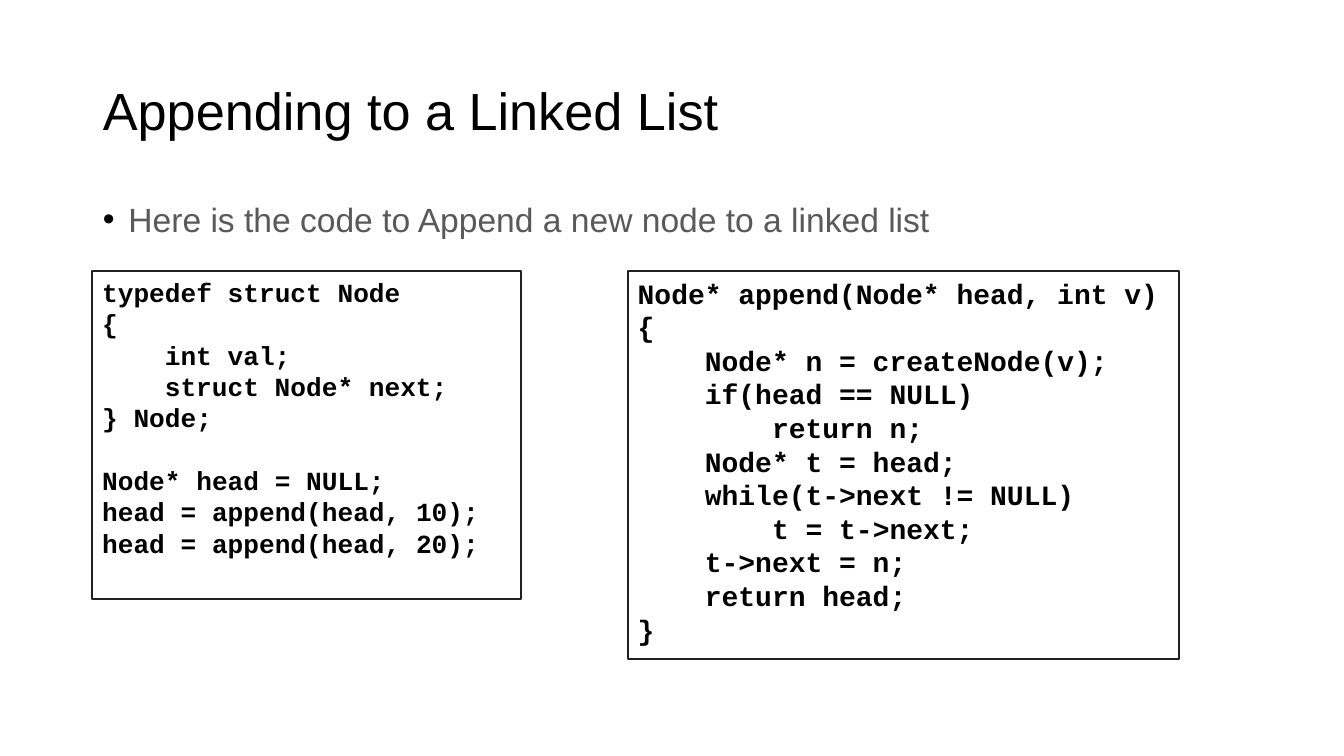
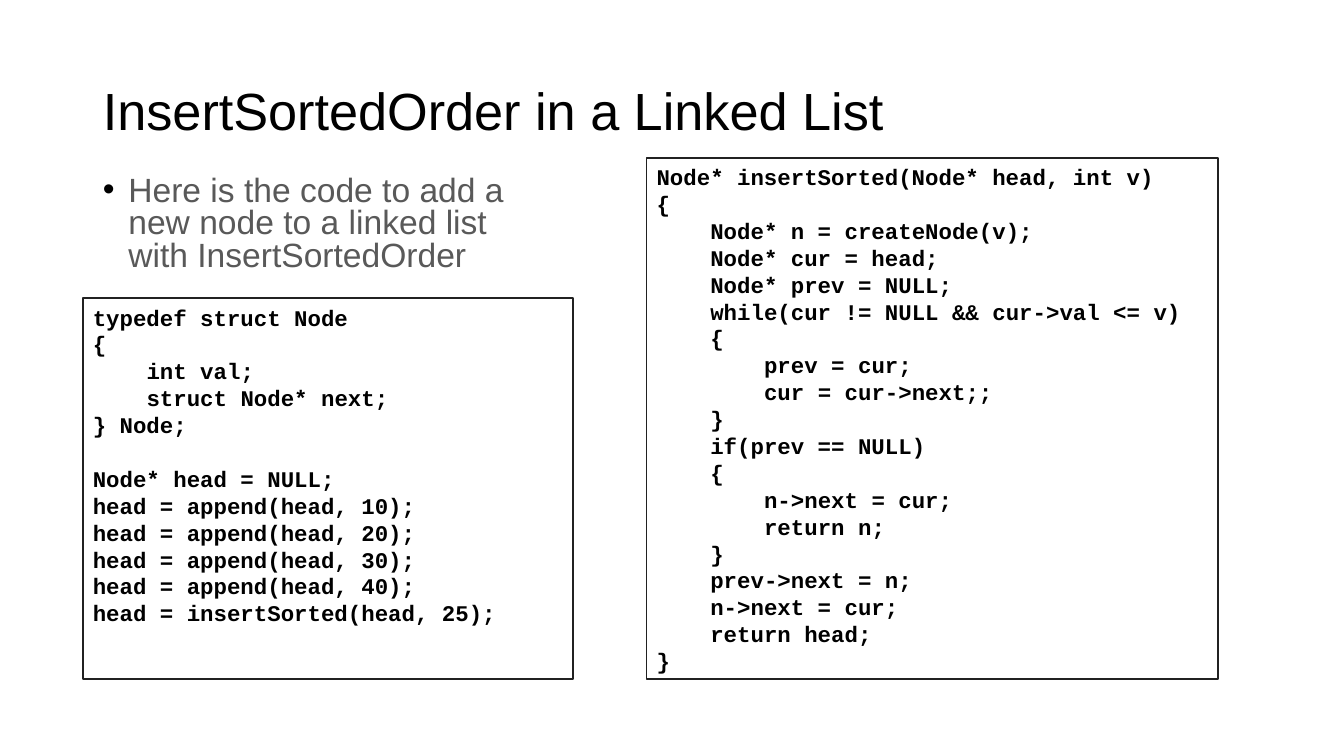
from pptx import Presentation
from pptx import util as u
from pptx.dml.color import RGBColor
from pptx.enum import shapes, text
from pptx.oxml import parse_xml
from pptx.oxml.ns import nsdecls

PX = 4572
BLACK = RGBColor(0x00, 0x00, 0x00)
GREY = RGBColor(0x59, 0x59, 0x59)
OUTLINE = RGBColor(0x21, 0x21, 0x21)
WHITE = RGBColor(0xFF, 0xFF, 0xFF)
SANS, MONO = "Arial", "Courier New"
CHAR_WIDTH, LINE_HEIGHT, TAB = 0.6, 1.2, 4

NODE_TYPE = """typedef struct Node
{
    int val;
    struct Node* next;
} Node;

Node* head = NULL;
head = append(head, 10);
head = append(head, 20);"""

MORE_CALLS = """
head = append(head, 30);
head = append(head, 40);
head = insertSorted(head, 25);"""

APPEND = """Node* append(Node* head, int v)
{
    Node* n = createNode(v);
    if(head == NULL)
        return n;
    Node* t = head;
    while(t->next != NULL)
        t = t->next;
    t->next = n;
    return head;
}"""

INSERT_SORTED = """Node* insertSorted(Node* head, int v)
{
    Node* n = createNode(v);
    Node* cur = head;
    Node* prev = NULL;
    while(cur != NULL && cur->val <= v)
    {
        prev = cur;
        cur = cur->next;;
    }
    if(prev == NULL)
    {
        n->next = cur;
        return n;
    }
    prev->next = n;
    n->next = cur;
    return head;
}"""


def px(*lengths):
    return [u.Emu(length * PX) for length in lengths]


def set_frame(frame, anchor):
    frame.word_wrap = True
    frame.vertical_anchor = anchor
    frame.margin_left, frame.margin_top, frame.margin_right, frame.margin_bottom = px(15, 8, 15, 8)


def set_font(paragraph, name, size, color, bold=False):
    font = paragraph.font
    font.name, font.size, font.bold = name, u.Pt(size), bold
    font.color.rgb = color


def add_text(slide, box, words, size, color, spacing, anchor):
    frame = slide.shapes.add_textbox(*px(*box)).text_frame
    set_frame(frame, anchor)
    paragraph = frame.paragraphs[0]
    paragraph.text = words
    paragraph.line_spacing = spacing
    set_font(paragraph, SANS, size, color)
    return paragraph


def add_title(slide, words):
    add_text(slide, (138, 60, 1724, 218), words, 28, BLACK, 0.9, text.MSO_ANCHOR.MIDDLE)


def add_bullet(slide, box, words):
    paragraph = add_text(slide, box, words, 18, GREY, 0.8, text.MSO_ANCHOR.TOP)
    properties = paragraph._p.get_or_add_pPr()
    hang = px(38)[0]
    properties.set("marL", str(hang))
    properties.set("indent", str(-hang))
    for mark in (
        f'<a:buClr {nsdecls("a")}><a:srgbClr val="{BLACK}"/></a:buClr>',
        f'<a:buFont {nsdecls("a")} typeface="{SANS}"/>',
        f'<a:buChar {nsdecls("a")} char="•"/>',
    ):
        properties.insert_element_before(parse_xml(mark), "a:tabLst", "a:defRPr", "a:extLst")


def add_code(slide, box, code, size):
    """Draw a framed listing, turning leading spaces into indents and empty lines into spacing."""
    panel = slide.shapes.add_shape(shapes.MSO_SHAPE.RECTANGLE, *px(*box))
    panel.shadow.inherit = False
    panel.fill.solid()
    panel.fill.fore_color.rgb = WHITE
    panel.line.color.rgb = OUTLINE
    panel.line.width = u.Pt(1)
    frame = panel.text_frame
    set_frame(frame, text.MSO_ANCHOR.TOP)
    line_height = u.Pt(size * LINE_HEIGHT)
    gap = 0
    for number, line in enumerate(code.splitlines()):
        statement = line.lstrip()
        if not statement:
            gap = line_height
            continue
        paragraph = frame.add_paragraph() if number else frame.paragraphs[0]
        paragraph.text = statement
        paragraph.alignment = text.PP_ALIGN.LEFT
        paragraph.line_spacing = line_height
        paragraph.space_before = u.Emu(gap)
        depth = (len(line) - len(statement)) // TAB
        properties = paragraph._p.get_or_add_pPr()
        properties.set("marL", str(u.Pt(depth * TAB * CHAR_WIDTH * size)))
        properties.set("indent", "0")
        set_font(paragraph, MONO, size, BLACK, bold=True)
        gap = 0


def add_append_slide(deck):
    slide = deck.slides.add_slide(deck.slide_layouts[6])
    add_title(slide, "Appending to a Linked List")
    add_bullet(slide, (138, 300, 1724, 70), "Here is the code to Append a new node to a linked list")
    add_code(slide, (934, 403, 820, 578), APPEND, 15)
    add_code(slide, (137, 403, 639, 488), NODE_TYPE, 14)


def add_insert_slide(deck):
    slide = deck.slides.add_slide(deck.slide_layouts[6])
    add_title(slide, "InsertSortedOrder in a Linked List")
    add_bullet(slide, (138, 255, 700, 158),
               "Here is the code to add a new node to a linked list with InsertSortedOrder")
    add_code(slide, (962, 235, 850, 775), INSERT_SORTED, 12)
    add_code(slide, (123, 444, 730, 566), NODE_TYPE + MORE_CALLS, 12)


def main():
    deck = Presentation()
    deck.slide_width, deck.slide_height = px(2000, 1125)
    add_append_slide(deck)
    add_insert_slide(deck)
    deck.save("out.pptx")


if __name__ == "__main__":
    main()
